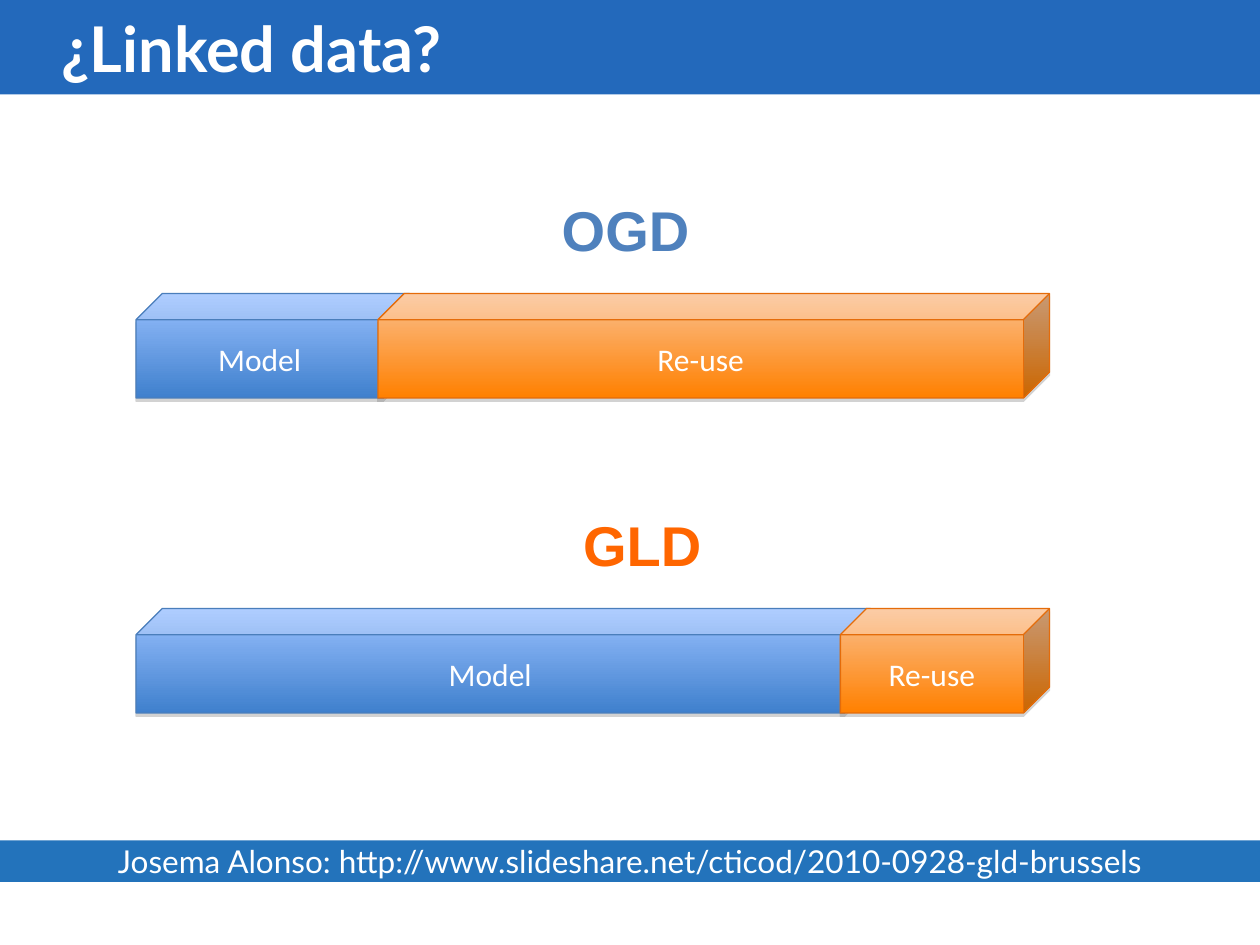
from typing import NamedTuple

from lxml.etree import SubElement
from pptx import Presentation
from pptx.dml.color import RGBColor
from pptx.enum.shapes import MSO_SHAPE
from pptx.enum.text import MSO_ANCHOR, MSO_AUTO_SIZE, PP_ALIGN
from pptx.oxml.ns import qn
from pptx.util import Inches, Pt

COLORS = {
    "white": "FFFFFF",
    "title_band": "2369BB",
    "source_band": "2373BB",
    "ogd": "4F81BD",
    "gld": "FF6600",
    "shadow": "808080",
}
BAR_LEFT, BAR_RIGHT, BAR_HEIGHT = 1.08, 8.33, 0.83


class Part(NamedTuple):
    label: str
    top_color: str
    bottom_color: str
    line_color: str


class Comparison(NamedTuple):
    heading: str
    color: str
    heading_left: float
    heading_width: float
    top: float
    model_width: float
    reuse_left: float


MODEL = Part("Model", "9BC1FF", "3F80CD", "4A7EBB")
REUSE = Part("Re-use", "FAC090", "FF8000", "E46C0A")
COMPARISONS = [
    Comparison("OGD", COLORS["ogd"], 4.36, 1.23, 1.5, 2.17, 3),
    Comparison("GLD", COLORS["gld"], 4.53, 1.15, 4, 5.83, 6.67),
]


def write(shape, text: str, *, size: float, font: str, color: str = COLORS["white"],
          bold: bool = False, align=PP_ALIGN.LEFT, anchor=MSO_ANCHOR.MIDDLE,
          wrap: bool = True, indent: float = 0) -> None:
    frame = shape.text_frame
    frame.word_wrap = wrap
    frame.vertical_anchor = anchor
    frame.margin_left = Inches(0.1 + indent)
    paragraph = frame.paragraphs[0]
    paragraph.alignment = align
    span = paragraph.add_run()
    span.text = text
    span.font.size = Pt(size)
    span.font.name = font
    span.font.bold = bold
    span.font.color.rgb = RGBColor.from_string(color)


def add_band(page, top: float, height: float, color: str):
    band = page.shapes.add_shape(MSO_SHAPE.RECTANGLE, 0, Inches(top),
                                 Inches(10), Inches(height))
    band.shadow.inherit = False
    band.fill.solid()
    band.fill.fore_color.rgb = RGBColor.from_string(color)
    band.line.fill.background()
    return band


def add_drop_shadow(shape) -> None:
    """Give the shape a sharp, faint shadow straight below it."""
    shape.shadow.inherit = False
    effects = shape._element.spPr.find(qn("a:effectLst"))
    shadow = SubElement(effects, qn("a:outerShdw"), blurRad="0",
                        dist=str(Pt(1.8)), dir="5400000", rotWithShape="0")
    color = SubElement(shadow, qn("a:srgbClr"), val=COLORS["shadow"])
    SubElement(color, qn("a:alpha"), val="35000")


def add_bar(page, part: Part, left: float, top: float, width: float) -> None:
    bar = page.shapes.add_shape(MSO_SHAPE.CUBE, Inches(left), Inches(top),
                                Inches(width), Inches(BAR_HEIGHT))
    bar.adjustments[0] = 0.25
    bar.fill.gradient()
    bar.fill.gradient_angle = 270
    for stop, color in zip(bar.fill.gradient_stops, (part.top_color, part.bottom_color)):
        stop.color.rgb = RGBColor.from_string(color)
    bar.line.color.rgb = RGBColor.from_string(part.line_color)
    bar.line.width = Pt(0.75)
    add_drop_shadow(bar)
    write(bar, part.label, size=18, font="Calibri", align=PP_ALIGN.CENTER)


def add_comparison(page, item: Comparison) -> None:
    bar_top = item.top + BAR_HEIGHT
    add_bar(page, MODEL, BAR_LEFT, bar_top, item.model_width)
    add_bar(page, REUSE, item.reuse_left, bar_top, BAR_RIGHT - item.reuse_left)
    box = page.shapes.add_textbox(Inches(item.heading_left), Inches(item.top),
                                  Inches(item.heading_width), Inches(0.64))
    write(box, item.heading, size=32, font="Arial", color=item.color, bold=True,
          anchor=MSO_ANCHOR.TOP, wrap=False)
    box.text_frame.auto_size = MSO_AUTO_SIZE.SHAPE_TO_FIT_TEXT


def main() -> None:
    deck = Presentation()
    deck.slide_width, deck.slide_height = Inches(10), Inches(7.5)
    page = deck.slides.add_slide(deck.slide_layouts[6])
    for item in COMPARISONS:
        add_comparison(page, item)
    title = add_band(page, 0, 0.75, COLORS["title_band"])
    write(title, "¿Linked data?", size=36, font="Lato", bold=True, indent=0.39)
    source = add_band(page, 6.67, 0.33, COLORS["source_band"])
    write(source, "Josema Alonso: http://www.slideshare.net/cticod/2010-0928-gld-brussels",
          size=18, font="Lato", align=PP_ALIGN.CENTER, wrap=False)
    deck.save("out.pptx")


if __name__ == "__main__":
    main()
